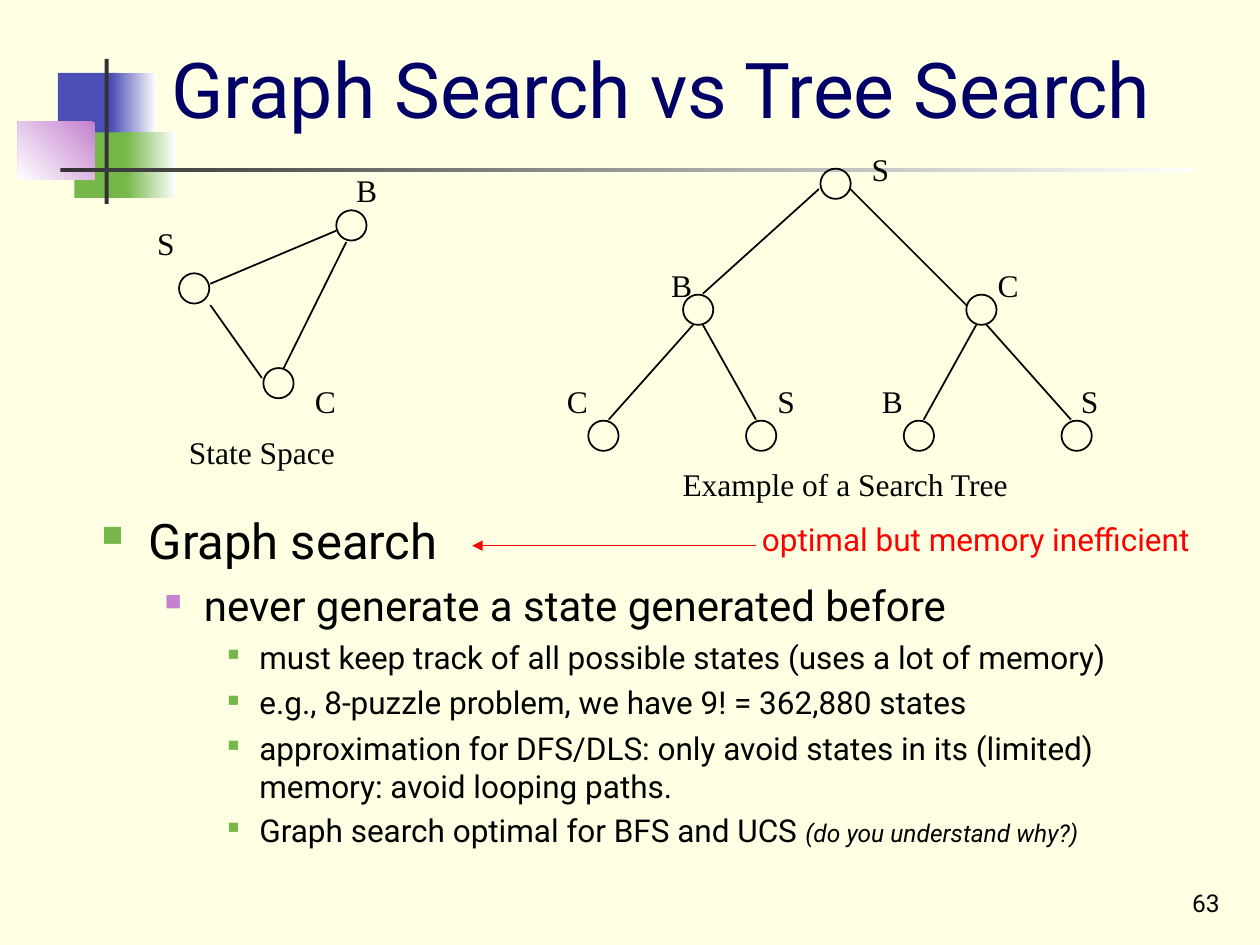
"""Build a slide that compares graph search with tree search."""
from typing import NamedTuple, Optional

from lxml import etree
from pptx import Presentation
from pptx.dml.color import RGBColor
from pptx.enum.shapes import MSO_CONNECTOR, MSO_SHAPE
from pptx.enum.text import MSO_ANCHOR, PP_ALIGN
from pptx.oxml.ns import qn
from pptx.util import Cm, Pt

RECT, OVAL = MSO_SHAPE.RECTANGLE, MSO_SHAPE.OVAL
LINE = MSO_CONNECTOR.STRAIGHT
TOP, MIDDLE, BOTTOM = MSO_ANCHOR.TOP, MSO_ANCHOR.MIDDLE, MSO_ANCHOR.BOTTOM
LEFT, RIGHT = PP_ALIGN.LEFT, PP_ALIGN.RIGHT

CREAM = RGBColor(0xFF, 0xFF, 0xE3)
WHITE = RGBColor(0xFF, 0xFF, 0xFF)
BLACK = RGBColor(0, 0, 0)
GREY = RGBColor(0x33, 0x33, 0x33)
NAVY = RGBColor(0, 0, 0x66)
BLUE = RGBColor(0x4B, 0x4E, 0xB5)
GREEN = RGBColor(0x76, 0xB7, 0x49)
PINK = RGBColor(0xC4, 0x81, 0xCF)
RED = RGBColor(0xFF, 0, 0)
SANS, SERIF = "Roboto", "Times New Roman"
SIZE = 0.61


class Block(NamedTuple):
    x: float
    y: float
    w: float
    h: float
    color: RGBColor
    angle: Optional[int] = None


class Node(NamedTuple):
    name: str
    x: float
    y: float
    text_x: float
    text_y: float


class Edge(NamedTuple):
    x1: float
    y1: float
    x2: float
    y2: float


class Label(NamedTuple):
    text: str
    x: float
    y: float
    w: float
    h: float = 1.02
    size: int = 18
    font: str = SERIF
    color: RGBColor = BLACK
    align: PP_ALIGN = LEFT
    anchor: MSO_ANCHOR = TOP
    wrap: bool = False


class Level(NamedTuple):
    margin: float
    hang: float
    size: int
    color: RGBColor
    scale: int


class Point(NamedTuple):
    level: int
    text: str
    space: float
    aside: str = ""


BLOCKS = [
    Block(1.17, 1.47, 1.22, 1.32, BLUE),
    Block(2.24, 1.47, 0.91, 1.32, BLUE, 0),
    Block(1.5, 2.67, 1.17, 1.32, GREEN),
    Block(2.54, 2.67, 1.02, 1.32, GREEN, 0),
    Block(0.36, 2.46, 1.55, 1.17, PINK, 225),
    Block(2.11, 1.19, 0.08, 2.92, GREY),
    Block(1.22, 3.38, 22.86, 0.08, GREY, 0),
]
LEAVES = [("C", 11.18), ("S", 15.42), ("B", 17.53), ("S", 21.54)]
NODES = [
    Node("S", 3.61, 5.51, 2.92, 4.39),
    Node("B", 6.78, 4.24, 6.93, 3.33),
    Node("C", 5.31, 7.42, 6.1, 7.57),
    Node("S", 16.54, 3.4, 17.32, 2.9),
    Node("B", 13.77, 5.94, 13.28, 5.23),
    Node("C", 19.48, 5.94, 19.86, 5.23),
] + [Node(name, 11.86 + 3.18 * i, 8.48, x, 7.57)
     for i, (name, x) in enumerate(LEAVES)]
EDGES = [
    Edge(4.24, 5.72, 6.78, 4.65),
    Edge(6.98, 4.88, 5.72, 7.42),
    Edge(4.24, 6.15, 5.28, 7.62),
    Edge(16.51, 3.81, 14.17, 5.92),
    Edge(17.14, 3.81, 19.48, 6.15),
    Edge(13.97, 6.55, 12.27, 8.46),
    Edge(14.17, 6.55, 15.24, 8.46),
    Edge(19.68, 6.55, 18.62, 8.46),
    Edge(19.89, 6.55, 21.59, 8.46),
]
LABELS = [
    Label("Graph Search vs Tree Search", 3.2, 0.58, 21.64, 2.36, 44, SANS,
          NAVY, anchor=MIDDLE, wrap=True),
    Label("State Space", 3.56, 8.61, 3.45),
    Label("Example of a Search Tree", 13.51, 9.25, 7.09),
    Label("optimal but memory inefficient", 15.11, 10.36, 9.78,
          font=SANS, color=RED),
    Label("63", 19.56, 17.35, 5.28, 1.27, 14, SANS,
          align=RIGHT, anchor=BOTTOM, wrap=True),
]
LEVELS = [
    Level(0.95, 0.95, 28, GREEN, 60),
    Level(2.06, 0.79, 24, PINK, 55),
    Level(3.18, 0.64, 18, GREEN, 50),
]
POINTS = [
    Point(0, "Graph search", 0),
    Point(1, "never generate a state generated before", 6),
    Point(2, "must keep track of all possible states (uses a lot of memory)", 4.5),
    Point(2, "e.g., 8-puzzle problem, we have 9! = 362,880 states", 4.5),
    Point(2, "approximation for DFS/DLS: only avoid states in its (limited) "
             "memory: avoid looping paths.", 4.5),
    Point(2, "Graph search optimal for BFS and UCS ", 3.5,
          "(do you understand why?)"),
]


def style(font, name: str, size: float, color: RGBColor) -> None:
    font.name, font.size = name, Pt(size)
    font.color.rgb = color


def draw_block(slide, block: Block) -> None:
    shape = slide.shapes.add_shape(RECT, *map(Cm, block[:4]))
    shape.shadow.inherit = False
    shape.line.fill.background()
    if block.angle is None:
        shape.fill.solid()
        shape.fill.fore_color.rgb = block.color
    else:
        shape.fill.gradient()
        shape.fill.gradient_angle = block.angle
        for stop, color in zip(shape.fill.gradient_stops, (block.color, WHITE)):
            stop.color.rgb = color


def draw_label(slide, label: Label) -> None:
    box = slide.shapes.add_textbox(*map(Cm, label[1:5]))
    frame = box.text_frame
    frame.text = label.text
    frame.word_wrap = label.wrap
    frame.vertical_anchor = label.anchor
    para = frame.paragraphs[0]
    para.alignment = label.align
    style(para.runs[0].font, label.font, label.size, label.color)


def draw_node(slide, node: Node) -> None:
    shape = slide.shapes.add_shape(OVAL, *map(Cm, (node.x, node.y, SIZE, SIZE)))
    shape.shadow.inherit = False
    shape.fill.background()
    shape.line.color.rgb = BLACK
    shape.line.width = Pt(1)
    draw_label(slide, Label(node.name, node.text_x, node.text_y, 0.9))


def draw_edge(slide, edge: Edge, color: RGBColor = BLACK, width: float = 1,
              arrow: bool = False) -> None:
    link = slide.shapes.add_connector(LINE, *map(Cm, edge))
    link.line.color.rgb = color
    link.line.width = Pt(width)
    if arrow:
        etree.SubElement(link.line._get_or_add_ln(), qn("a:tailEnd"), type="triangle")
    etree.SubElement(link._element.spPr, qn("a:effectLst"))


def add_bullet(para, level: Level) -> None:
    props = para._p.get_or_add_pPr()
    props.set("marL", str(Cm(level.margin)))
    props.set("indent", str(-Cm(level.hang)))
    tint = etree.SubElement(props, qn("a:buClr"))
    etree.SubElement(tint, qn("a:srgbClr"), val=str(level.color))
    etree.SubElement(props, qn("a:buSzPct"), val=str(level.scale * 1000))
    etree.SubElement(props, qn("a:buChar"), char="■")


def draw_points(slide) -> None:
    frame = slide.shapes.add_textbox(*map(Cm, (1.8, 10.16, 21.79, 7.82))).text_frame
    frame.word_wrap = True
    for i, point in enumerate(POINTS):
        para = frame.add_paragraph() if i else frame.paragraphs[0]
        level = LEVELS[point.level]
        para.text = point.text
        para.level = point.level
        add_bullet(para, level)
        para.space_before = Pt(point.space)
        style(para.runs[0].font, SANS, level.size, BLACK)
        if point.aside:
            run = para.add_run()
            run.text = point.aside
            style(run.font, SANS, 14, BLACK)
            run.font.italic = True


def main() -> None:
    deck = Presentation()
    deck.slide_width, deck.slide_height = Cm(25.4), Cm(19.05)
    slide = deck.slides.add_slide(deck.slide_layouts[6])
    slide.background.fill.solid()
    slide.background.fill.fore_color.rgb = CREAM
    for block in BLOCKS:
        draw_block(slide, block)
    draw_points(slide)
    for node in NODES:
        draw_node(slide, node)
    for edge in EDGES:
        draw_edge(slide, edge)
    draw_edge(slide, Edge(15.24, 11, 9.52, 11), RED, 0.75, True)
    for label in LABELS:
        draw_label(slide, label)
    deck.save("out.pptx")


if __name__ == "__main__":
    main()
